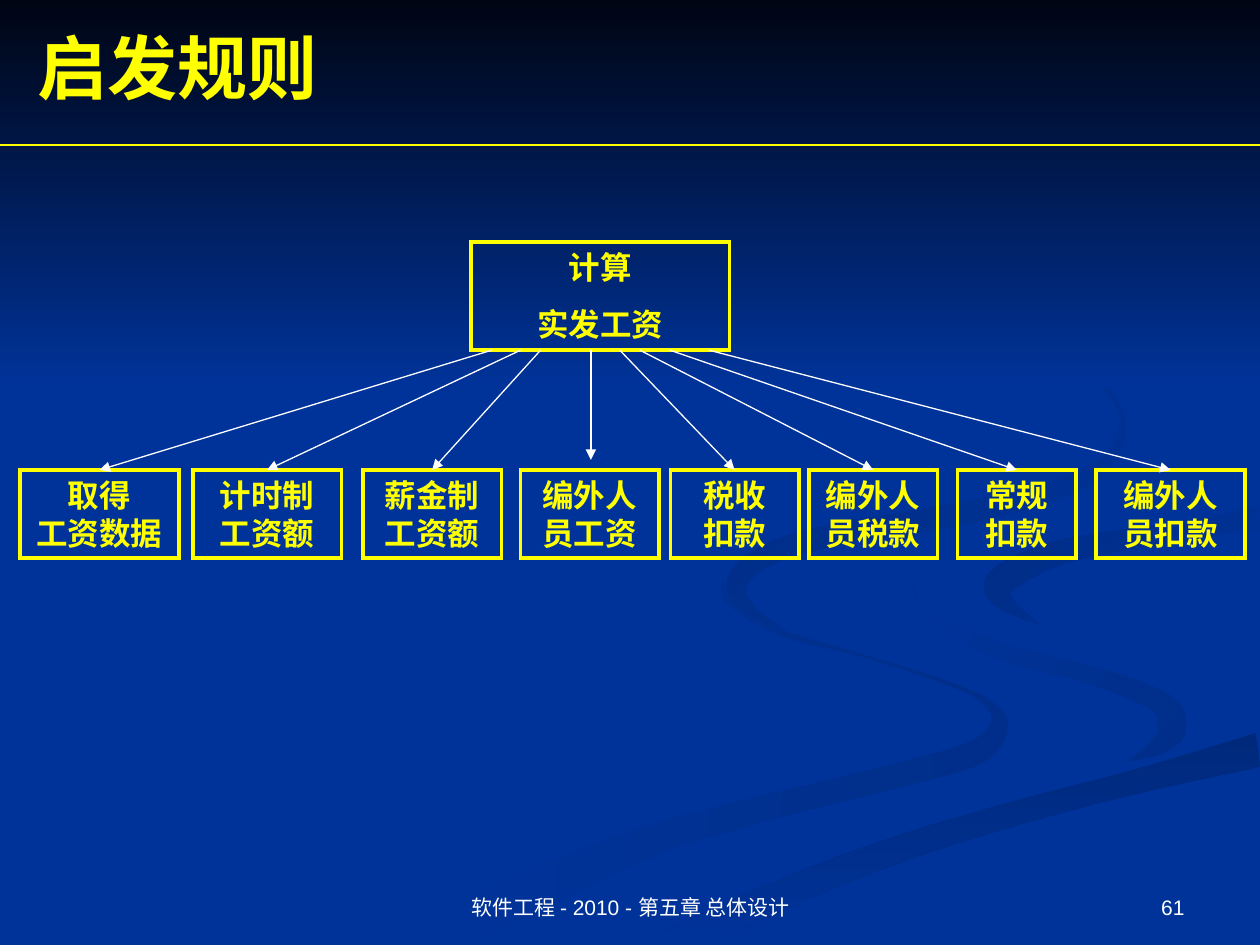
import math
import typing
import pptx
import pptx.util
import pptx.dml.color
import pptx.enum.shapes
import pptx.enum.text
import pptx.oxml.ns
from lxml import etree

Inches, Pt = pptx.util.Inches, pptx.util.Pt
RGBColor = pptx.dml.color.RGBColor
SHAPE = pptx.enum.shapes.MSO_SHAPE
ALIGN = pptx.enum.text.PP_ALIGN
ANCHOR = pptx.enum.text.MSO_ANCHOR
qn = pptx.oxml.ns.qn

BLUE = RGBColor(0x00, 0x33, 0x99)
NIGHT = RGBColor(0x00, 0x05, 0x14)
YELLOW = RGBColor(0xFF, 0xFF, 0x00)
WHITE = RGBColor(0xFF, 0xFF, 0xFF)
SHADE_SOFT = RGBColor(0x00, 0x2E, 0x8A)
SHADE_DEEP = RGBColor(0x00, 0x29, 0x7C)
SHADE_EDGE = RGBColor(0x00, 0x2C, 0x85)
SHADE_TOP = RGBColor(0x00, 0x2B, 0x81)

W, H = 10, 7.5
BAND_H, RULE_Y = 3.08, 1.15
PARENT = (3.74, 1.92, 2.05, 0.86)
PARENT_BOTTOM = PARENT[1] + PARENT[3]
CHILD_TOP, CHILD_H = 3.73, 0.7
FOOTER_TOP, FOOTER_H = 6.83, 0.52
CURVE_STEPS = 6


class Module(typing.NamedTuple):
    left: float
    width: float
    lines: list
    arrow_start: float
    arrow_gap: float = 0


class Ribbon(typing.NamedTuple):
    start: RGBColor
    end: RGBColor
    clockwise: int
    stations: list  


MODULES = [
    Module(0.16, 1.26, ["取得", "工资数据"], 3.9),
    Module(1.53, 1.18, ["计时制", "工资额"], 4.13),
    Module(2.88, 1.1, ["薪金制", "工资额"], 4.29),
    Module(4.13, 1.1, ["编外人", "员工资"], 4.69, arrow_gap=0.08),
    Module(5.32, 1.02, ["税收", "扣款"], 4.92),
    Module(6.42, 1.02, ["编外人", "员税款"], 5.08),
    Module(7.6, 0.94, ["常规", "扣款"], 5.32),
    Module(8.7, 1.18, ["编外人", "员扣款"], 5.63),
]

RIBBONS = {
    "broad": Ribbon(BLUE, BLUE, 0, [
        (10, 3.95, 0.15), (9.2, 4.08, 0.14), (8.3, 4.23, 0.15), (7.53, 4.62, 0.5),
        (7.8, 4.93, 0.25), (8.6, 5.15, 0.16), (9.3, 5.36, 0.25), (9.72, 5.62, 0.5),
        (9.2, 6, 0.12), (8.13, 6.3, 0.08), (7.04, 6.62, 0.12), (5, 7.45, 0.2)]),
    "lower left": Ribbon(SHADE_SOFT, BLUE, 180, [
        (5.74, 4.6, 0), (5.79, 4.76, 0.06), (6.2, 5.02, 0.05), (6.8, 5.19, 0.02),
        (7.4, 5.38, 0.03), (7.8, 5.55, 0.05), (7.93, 5.75, 0.14), (7.75, 5.97, 0.2),
        (7.14, 6.15, 0.19), (5.94, 6.45, 0.2), (4.99, 6.74, 0.25), (3.3, 7.49, 0.4)]),
    "middle": Ribbon(SHADE_SOFT, BLUE, 225, [
        (7.24, 4.64, 0), (7.4, 4.89, 0.04), (7.95, 5.17, 0.12), (8.7, 5.37, 0.14),
        (9.2, 5.57, 0.18), (9.3, 5.75, 0.24), (9.22, 5.9, 0.16), (8.94, 6.05, 0)]),
    "lower right": Ribbon(SHADE_DEEP, BLUE, 90, [
        (5.3, 7.53, 0.26), (6, 7.19, 0.24), (6.96, 6.8, 0.21), (7.97, 6.48, 0.19),
        (9.03, 6.2, 0.19), (10, 5.95, 0.27)]),
    "right edge": Ribbon(BLUE, SHADE_EDGE, 225, [
        (8.26, 4.96, 0), (8, 4.8, 0.12), (7.94, 4.62, 0.23), (8.43, 4.38, 0.19),
        (9.35, 4.22, 0.15), (10, 4.11, 0.18)]),
    "upper": Ribbon(BLUE, SHADE_TOP, 225, [
        (7.62, 2.33, 0), (8.44, 2.77, 0.04), (8.8, 3.1, 0.04), (8.91, 3.4, 0.05),
        (8.73, 3.72, 0.12), (8.22, 3.94, 0.16), (7.4, 4.12, 0.18), (6.65, 4.24, 0.17),
        (6.1, 4.4, 0.17), (5.85, 4.62, 0.16), (5.95, 4.83, 0.08), (6.22, 5, 0)]),
}


def spline(a, b, c, d, t):
    return b + t * (c - a) / 2 + t ** 2 * (2 * a - 5 * b + 4 * c - d) / 2 \
        + t ** 3 * (3 * (b - c) + d - a) / 2


def smooth(stations):
    padded = [stations[0], *stations, stations[-1]]
    for quad in zip(padded, padded[1:], padded[2:], padded[3:]):
        for step in range(CURVE_STEPS):
            yield tuple(spline(*values, step / CURVE_STEPS) for values in zip(*quad))
    yield stations[-1]


def ribbon_outline(stations):
    curve = list(smooth(stations))
    near, far = [], []
    for i, (x, y, width) in enumerate(curve):
        before, after = curve[max(i - 1, 0)], curve[min(i + 1, len(curve) - 1)]
        angle = math.atan2(after[1] - before[1], after[0] - before[0])
        dx, dy = -math.sin(angle) * width / 2, math.cos(angle) * width / 2
        near.append((min(x + dx, W), min(y + dy, H)))
        far.append((min(x - dx, W), min(y - dy, H)))
    return near + far[::-1]


def set_text(sp, lines, size=18, font="Times New Roman", color=YELLOW, bold=True,
             align=ALIGN.CENTER, anchor=ANCHOR.TOP, gap=0):
    tf = sp.text_frame
    tf.word_wrap = True
    tf.auto_size = pptx.enum.text.MSO_AUTO_SIZE.NONE
    tf.vertical_anchor = anchor
    for i, line in enumerate(lines):
        p = tf.add_paragraph() if i else tf.paragraphs[0]
        p.alignment = align
        p.space_before = Pt(gap if i else 0)
        r = p.add_run()
        r.text = line
        r.font.size = Pt(size)
        r.font.name = font
        r.font.bold = bold
        r.font.color.rgb = color


def fill_gradient(sp, start, end, clockwise):
    sp.shadow.inherit = False
    sp.line.fill.background()
    sp.fill.gradient()
    sp.fill.gradient_angle = (360 - clockwise) % 360
    for stop, color in zip(sp.fill.gradient_stops, (start, end)):
        stop.color.rgb = color


def add_ribbon(s, ribbon):
    first, *rest = ribbon_outline(ribbon.stations)
    builder = s.shapes.build_freeform(*(v * 1000 for v in first), scale=Inches(1) / 1000)
    builder.add_line_segments([(x * 1000, y * 1000) for x, y in rest], close=True)
    fill_gradient(builder.convert_to_shape(), ribbon.start, ribbon.end, ribbon.clockwise)


def add_background(s):
    s.background.fill.solid()
    s.background.fill.fore_color.rgb = BLUE
    for ribbon in RIBBONS.values():
        add_ribbon(s, ribbon)
    band = s.shapes.add_shape(SHAPE.RECTANGLE, 0, 0, Inches(W), Inches(BAND_H))
    fill_gradient(band, NIGHT, BLUE, 90)


def add_box(s, box, lines, gap=0):
    sp = s.shapes.add_shape(SHAPE.RECTANGLE, *map(Inches, box))
    sp.shadow.inherit = False
    sp.fill.background()
    sp.line.color.rgb = YELLOW
    sp.line.width = Pt(2)
    etree.SubElement(sp.element.spPr.find(qn("a:ln")), qn("a:miter"), lim="800000")
    set_text(sp, lines, gap=gap)
    return sp


def add_line(s, x1, y1, x2, y2, color, arrow=False):
    cx = s.shapes.add_connector(pptx.enum.shapes.MSO_CONNECTOR.STRAIGHT,
                                *map(Inches, (x1, y1, x2, y2)))
    cx.line.color.rgb = color
    cx.line.width = Pt(0.75)
    etree.SubElement(cx.element.spPr, qn("a:effectLst"))
    if arrow:
        etree.SubElement(cx.element.spPr.find(qn("a:ln")), qn("a:tailEnd"), type="triangle")
    return cx


def add_footer(s, left, width, text, align):
    sp = s.shapes.add_textbox(*map(Inches, (left, FOOTER_TOP, width, FOOTER_H)))
    set_text(sp, [text], size=12, font="Arial", color=WHITE, bold=False,
             align=align, anchor=ANCHOR.BOTTOM)


def add_title(s, text):
    sp = s.shapes.title
    sp.left, sp.top, sp.width, sp.height = map(Inches, (0.2, 0.14, 9.8, 0.77))
    set_text(sp, [text], size=40, align=ALIGN.LEFT, anchor=ANCHOR.MIDDLE)
    sp.element.getparent().append(sp.element)


def add_call_tree(s):
    add_box(s, PARENT, ["计算", "实发工资"], gap=11.2)
    boxes = [add_box(s, (m.left, CHILD_TOP, m.width, CHILD_H), m.lines) for m in MODULES]
    for m, box in zip(MODULES, boxes):
        end_x = m.arrow_start if m.arrow_gap else m.left + m.width / 2
        cx = add_line(s, m.arrow_start, PARENT_BOTTOM, end_x, CHILD_TOP - m.arrow_gap,
                      WHITE, arrow=True)
        if not m.arrow_gap:
            cx.end_connect(box, 0)


def main():
    prs = pptx.Presentation()
    prs.slide_width, prs.slide_height = Inches(W), Inches(H)
    s = prs.slides.add_slide(prs.slide_layouts[5])
    add_background(s)
    add_title(s, "启发规则")
    add_line(s, 0, RULE_Y, W, RULE_Y, YELLOW)
    add_call_tree(s)
    add_footer(s, 3.42, 3.17, "软件工程 - 2010 - 第五章 总体设计", ALIGN.CENTER)
    add_footer(s, 7.17, 2.33, "61", ALIGN.RIGHT)
    prs.save("out.pptx")


if __name__ == "__main__":
    main()
